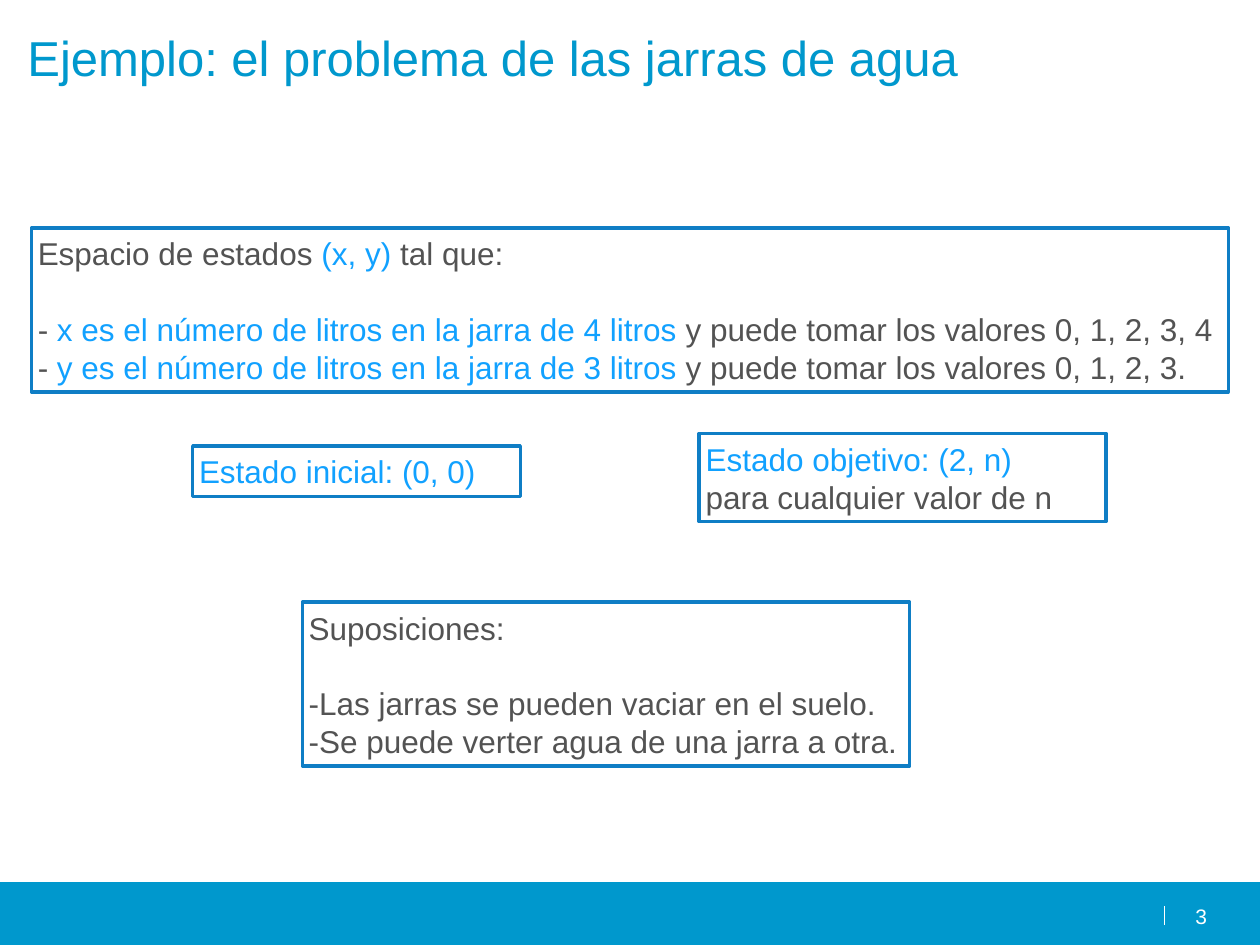
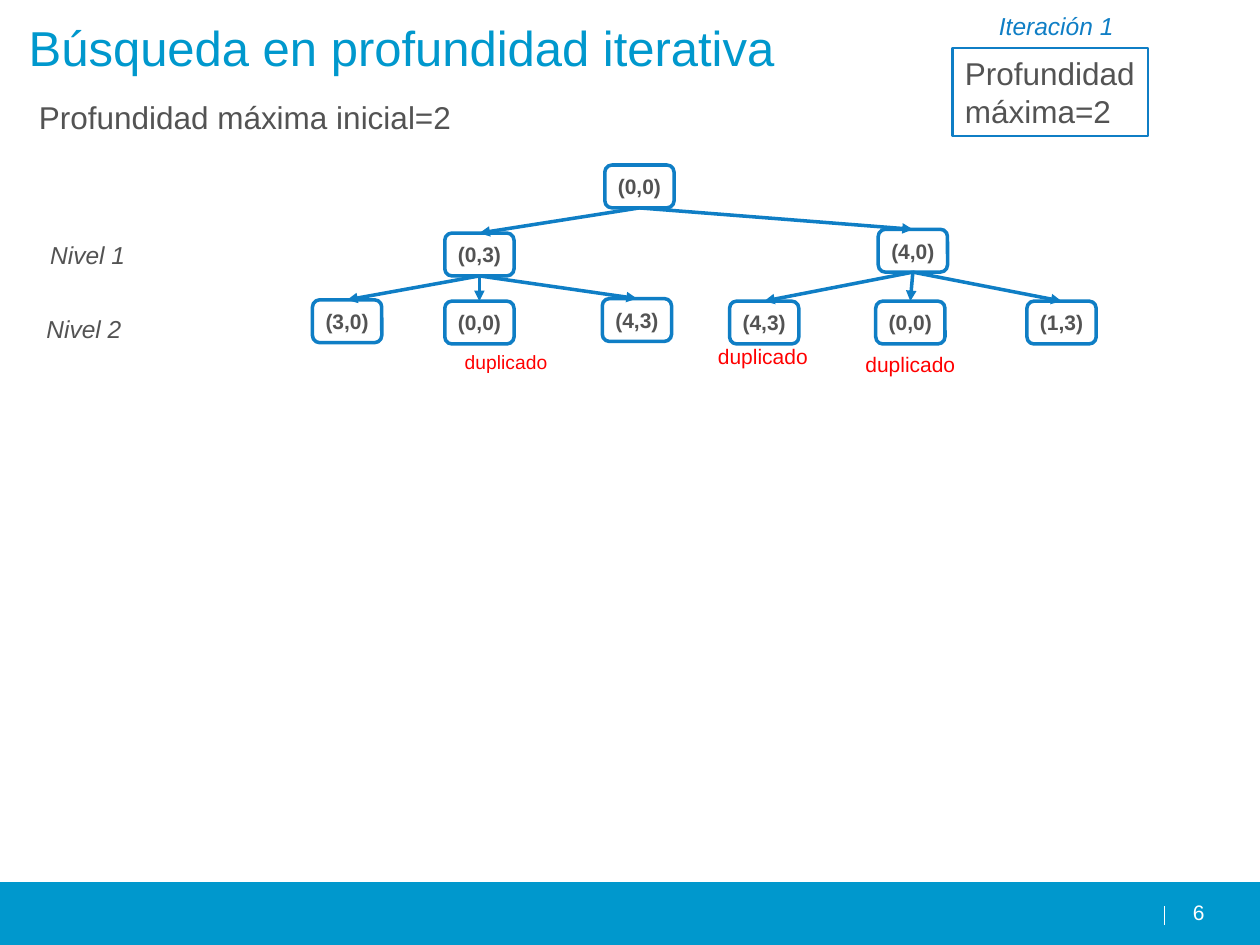
from dataclasses import dataclass
from typing import NamedTuple, Optional

from lxml.etree import SubElement
from pptx import Presentation
from pptx.dml.color import RGBColor
from pptx.enum.shapes import MSO_CONNECTOR, MSO_SHAPE
from pptx.enum.text import MSO_ANCHOR, PP_ALIGN
from pptx.oxml.ns import qn
from pptx.util import Inches, Pt

FONT = "Arial"
CYAN = RGBColor(0x00, 0x98, 0xCD)
BLUE = RGBColor(0x0F, 0x7E, 0xC5)
BRIGHT = RGBColor(0x11, 0xA1, 0xFF)
GRAY = RGBColor(0x53, 0x53, 0x53)
RED = RGBColor(0xFF, 0x00, 0x00)
WHITE = RGBColor(0xFF, 0xFF, 0xFF)

NODE_W, NODE_H = 0.55, 0.34
BOTTOM, TOP = 2, 0


class Span(NamedTuple):
    text: str
    color: RGBColor = GRAY


class Line(NamedTuple):
    spans: list[Span]
    gap: float = 0


@dataclass
class Box:
    x: float
    y: float
    w: float
    h: float
    lines: list[Line]


@dataclass
class Label:
    text: str
    x: float
    y: float
    w: float
    h: float
    size: float
    color: RGBColor = GRAY
    italic: bool = False


class Node(NamedTuple):
    state: str
    x: float
    y: float
    parent: Optional[int] = None


STATE_BOXES = [
    Box(0.25, 1.81, 9.5, 1.3, [
        Line([Span("Espacio de estados "), Span("(x, y) ", BRIGHT), Span("tal que:")]),
        Line([Span("- "), Span("x es el número de litros en la jarra de 4 litros ", BRIGHT),
              Span("y puede tomar los valores 0, 1, 2, 3, 4")], 21.5),
        Line([Span("- "), Span("y es el número de litros en la jarra de 3 litros ", BRIGHT),
              Span("y puede tomar los valores 0, 1, 2, 3.")]),
    ]),
    Box(1.53, 3.54, 2.6, 0.4, [Line([Span("Estado inicial: (0, 0)", BRIGHT)])]),
    Box(5.55, 3.44, 3.23, 0.7, [
        Line([Span("Estado objetivo: (2, n)", BRIGHT)]),
        Line([Span("para cualquier valor de n")]),
    ]),
    Box(2.4, 4.78, 4.82, 1.3, [
        Line([Span("Suposiciones:")]),
        Line([Span("-Las jarras se pueden vaciar en el suelo.")], 21.5),
        Line([Span("-Se puede verter agua de una jarra a otra.")]),
    ]),
]

TREE = [
    Node("(0,0)", 4.8, 1.31),
    Node("(0,3)", 3.53, 1.85, 0),
    Node("(4,0)", 6.97, 1.82, 0),
    Node("(3,0)", 2.48, 2.38, 1),
    Node("(0,0)", 3.53, 2.39, 1),
    Node("(4,3)", 4.78, 2.37, 1),
    Node("(4,3)", 5.79, 2.39, 2),
    Node("(0,0)", 6.95, 2.39, 2),
    Node("(1,3)", 8.15, 2.39, 2),
]

LABELS = [
    Label("Profundidad máxima inicial=2", 0.21, 0.73, 3.6, 0.4, 18),
    Label("duplicado", 3.59, 2.73, 0.86, 0.29, 11, RED),
    Label("duplicado", 5.6, 2.68, 0.94, 0.3, 12, RED),
    Label("duplicado", 6.77, 2.74, 0.94, 0.3, 12, RED),
    Label("Nivel 1", 0.3, 1.86, 1.14, 0.34, 14, italic=True),
    Label("Nivel 2", 0.27, 2.44, 1.14, 0.34, 14, italic=True),
    Label("Iteración 1", 7.83, 0.04, 1.14, 0.34, 14, BLUE, True),
]
DEPTH_LIMIT = Label("Profundidad máxima=2", 7.56, 0.38, 1.55, 0.7, 18)


def set_margins(tf, side: float, edge: float) -> None:
    """Set the insets of a wrapping text frame."""
    tf.word_wrap = True
    tf.margin_left = tf.margin_right = Inches(side)
    tf.margin_top = tf.margin_bottom = Inches(edge)


def style_run(r, size: float, color: RGBColor, bold: bool = False, italic: bool = False) -> None:
    """Give a run the deck font."""
    r.font.name, r.font.size, r.font.color.rgb = FONT, Pt(size), color
    r.font.bold, r.font.italic = bold, italic


def add_label(s, label: Label):
    """Add a one-paragraph text box."""
    sp = s.shapes.add_textbox(*map(Inches, (label.x, label.y, label.w, label.h)))
    set_margins(sp.text_frame, 0.1, 0.05)
    sp.text_frame.text = label.text
    style_run(sp.text_frame.paragraphs[0].runs[0], label.size, label.color, italic=label.italic)
    return sp


def add_panel(s, kind, x: float, y: float, w: float, h: float):
    """Add a white shape with a blue outline."""
    sp = s.shapes.add_shape(kind, *map(Inches, (x, y, w, h)))
    sp.shadow.inherit = False
    sp.fill.solid()
    sp.fill.fore_color.rgb = WHITE
    sp.line.color.rgb = BLUE
    sp.line.width = Pt(2)
    sp.text_frame.vertical_anchor = MSO_ANCHOR.MIDDLE
    set_margins(sp.text_frame, 0.05, 0.05)
    return sp


def add_box(s, box: Box) -> None:
    """Add a panel with coloured lines of text."""
    tf = add_panel(s, MSO_SHAPE.RECTANGLE, box.x, box.y, box.w, box.h).text_frame
    for i, line in enumerate(box.lines):
        p = tf.add_paragraph() if i else tf.paragraphs[0]
        p.alignment = PP_ALIGN.LEFT
        if line.gap:
            p.space_before = Pt(line.gap)
        for span in line.spans:
            r = p.add_run()
            r.text = span.text
            style_run(r, 18, span.color)


def add_node(s, node: Node):
    """Add a rounded state node of the search tree."""
    sp = add_panel(s, MSO_SHAPE.ROUNDED_RECTANGLE, node.x, node.y, NODE_W, NODE_H)
    p = sp.text_frame.paragraphs[0]
    p.text = node.state
    p.alignment = PP_ALIGN.CENTER
    style_run(p.runs[0], 12, GRAY, bold=True)
    return sp


def add_line(s, x1: float, y1: float, x2: float, y2: float, color: RGBColor, width: float):
    """Add a straight connector without shadow."""
    line = s.shapes.add_connector(MSO_CONNECTOR.STRAIGHT, *map(Inches, (x1, y1, x2, y2)))
    line.line.color.rgb = color
    line.line.width = Pt(width)
    SubElement(line.element.spPr, qn("a:effectLst"))
    return line


def add_edge(s, parent, child) -> None:
    """Join a parent node to its child with an arrow."""
    edge = add_line(s, 0, 0, 1, 1, BLUE, 2)
    edge.begin_connect(parent, BOTTOM)
    edge.end_connect(child, TOP)
    SubElement(edge.line._get_or_add_ln(), qn("a:tailEnd"), type="triangle")


def add_base_slide(prs, title: Label, number: Label):
    """Add a slide with the footer band, title and slide number."""
    s = prs.slides.add_slide(prs.slide_layouts[6])
    band = s.shapes.add_shape(MSO_SHAPE.RECTANGLE, 0, Inches(7), Inches(10.01), Inches(0.51))
    band.shadow.inherit = False
    band.fill.solid()
    band.fill.fore_color.rgb = CYAN
    band.line.fill.background()
    add_line(s, 9.24, 7.34, 9.24, 7.19, WHITE, 0.75)
    add_label(s, title)
    tf = add_label(s, number).text_frame
    set_margins(tf, 0, 0)
    tf.paragraphs[0].alignment = PP_ALIGN.RIGHT
    return s


def build_jars_slide(prs) -> None:
    """Build the water jars problem slide."""
    s = add_base_slide(
        prs,
        Label("Ejemplo: el problema de las jarras de agua", 0.12, 0.17, 9, 1.25, 28, CYAN),
        Label("3", 9.28, 7.17, 0.3, 0.19, 12, WHITE),
    )
    for box in STATE_BOXES:
        add_box(s, box)


def build_search_slide(prs) -> None:
    """Build the iterative deepening search slide."""
    s = add_base_slide(
        prs,
        Label("Búsqueda en profundidad iterativa", 0.13, 0.09, 9, 1.25, 28, CYAN),
        Label("6", 9.26, 7.14, 0.3, 0.19, 12, WHITE),
    )
    nodes = [add_node(s, node) for node in TREE]
    for node, sp in zip(TREE, nodes):
        if node.parent is not None:
            add_edge(s, nodes[node.parent], sp)
    for label in LABELS:
        add_label(s, label)
    limit = add_label(s, DEPTH_LIMIT)
    limit.line.color.rgb = BLUE
    limit.line.width = Pt(1.25)


def main() -> None:
    """Build and save the deck."""
    prs = Presentation()
    prs.slide_width, prs.slide_height = Inches(10), Inches(7.5)
    build_jars_slide(prs)
    build_search_slide(prs)
    prs.save("out.pptx")


if __name__ == "__main__":
    main()
